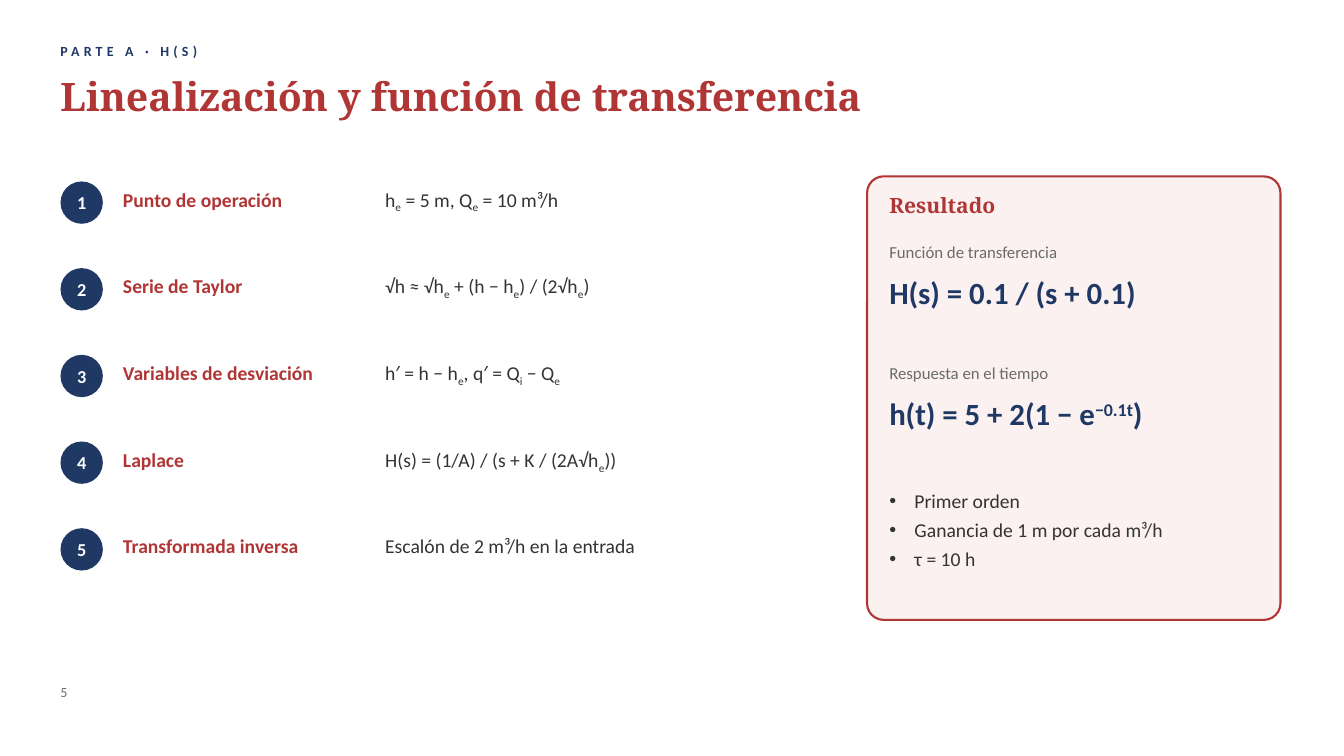
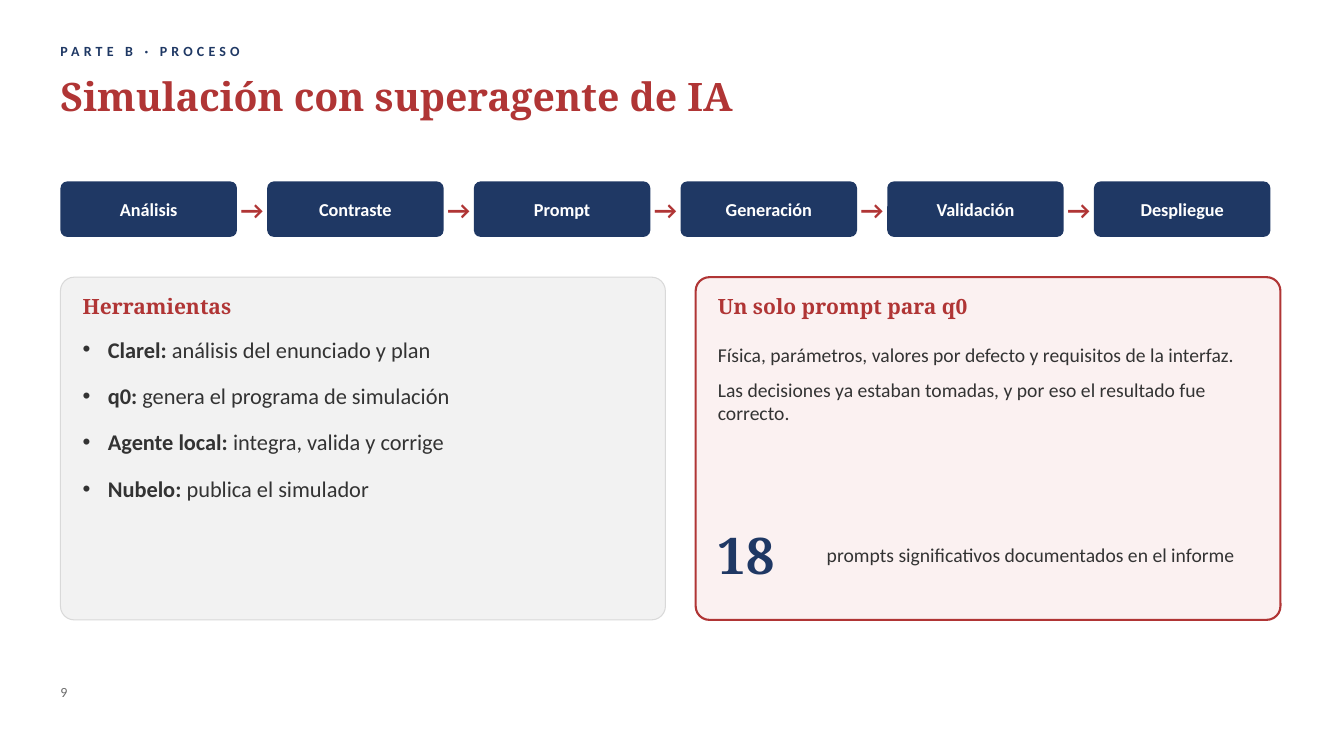
from dataclasses import dataclass, replace
from typing import NamedTuple

from pptx import Presentation
from pptx import util as u
from pptx.dml.color import RGBColor
from pptx.enum import shapes, text
from pptx.oxml.ns import qn
from pptx.oxml.xmlchemy import OxmlElement

PX = 9144
NAVY = RGBColor(0x1F, 0x38, 0x64)
RED = RGBColor(0xB0, 0x35, 0x35)
INK = RGBColor(0x33, 0x33, 0x33)
GRAY = RGBColor(0x6B, 0x6B, 0x6B)
WHITE = RGBColor(0xFF, 0xFF, 0xFF)
ROSE = RGBColor(0xFB, 0xF1, 0xF1)
PALE = RGBColor(0xF2, 0xF2, 0xF2)
EDGE = RGBColor(0xD9, 0xD9, 0xD9)
SANS, SERIF = "Calibri", "Noto Serif"
LEFT, MID = text.PP_ALIGN.LEFT, text.PP_ALIGN.CENTER
TOP, HALF = text.MSO_ANCHOR.TOP, text.MSO_ANCHOR.MIDDLE
OVAL = shapes.MSO_SHAPE.OVAL
ROUND = shapes.MSO_SHAPE.ROUNDED_RECTANGLE
EDGE_X = 60
PAD = 22


class Box(NamedTuple):
    x: int
    y: int
    w: int
    h: int

    def emu(self) -> tuple[int, ...]:
        return tuple(side * PX for side in self)


@dataclass(frozen=True)
class Look:
    size: int
    color: RGBColor
    bold: bool = False
    font: str = SANS
    after: int = 6
    align: text.PP_ALIGN = LEFT
    anchor: text.MSO_ANCHOR = TOP
    shift: int = 0
    space: int = 0
    dot: bool = False


@dataclass(frozen=True)
class Skin:
    fill: RGBColor
    line: RGBColor | None = None
    width: float = 0
    round: float = 0


class Step(NamedTuple):
    name: str
    rule: str


class Result(NamedTuple):
    y: int
    name: str
    rule: str


KICKER = Look(10, NAVY, True, space=300)
TITLE = Look(28, RED, True, SERIF)
FOOT = Look(10, GRAY)
HEAD = Look(15, RED, True, SERIF)
LABEL = Look(14, RED, True)
PLAIN = Look(14, INK)
RULE = replace(PLAIN, shift=-25)
NOTE = Look(12, GRAY)
LARGE = Look(22, NAVY, True, shift=30)
BADGE = Look(13, WHITE, True, after=0, align=MID, anchor=HALF)
ARROW = Look(18, RED, True, align=MID, anchor=HALF)
COUNT = Look(36, NAVY, True, SERIF, anchor=HALF)

SOLID = Skin(NAVY)
STAGE = Skin(NAVY, round=0.12)
WARM = Skin(ROSE, RED, 1.5, 0.04)
COOL = Skin(PALE, EDGE, 0.75, 0.04)

STEPS = [
    Step("Punto de operación", "h|e| = 5 m, Q|e| = 10 m³/h"),
    Step("Serie de Taylor", "√h ≈ √h|e| + (h − h|e|) / (2√h|e|)"),
    Step("Variables de desviación", "h′ = h − h|e|, q′ = Q|i| − Q|e|"),
    Step("Laplace", "H(s) = (1/A) / (s + K / (2A√h|e|))"),
    Step("Transformada inversa", "Escalón de 2 m³/h en la entrada"),
]
RESULTS = [
    Result(240, "Función de transferencia", "H(s) = 0.1 / (s + 0.1)"),
    Result(360, "Respuesta en el tiempo", "h(t) = 5 + 2(1 − e|−0.1t|)"),
]
FACTS = ["Primer orden", "Ganancia de 1 m por cada m³/h", "τ = 10 h"]
STAGES = ["Análisis", "Contraste", "Prompt", "Generación", "Validación", "Despliegue"]
TOOLS = [
    "|Clarel:| análisis del enunciado y plan",
    "|q0:| genera el programa de simulación",
    "|Agente local:| integra, valida y corrige",
    "|Nubelo:| publica el simulador",
]
REASONS = [
    "Física, parámetros, valores por defecto y requisitos de la interfaz.",
    "Las decisiones ya estaban tomadas, y por eso el resultado fue correcto.",
]


def add_dot(para) -> None:
    props = para._p.get_or_add_pPr()
    props.set("marL", str(25 * PX))
    props.set("indent", str(-25 * PX))
    dot = OxmlElement("a:buChar")
    dot.set("char", "•")
    props.append(dot)


def fill_para(para, line: str, look: Look) -> None:
    if look.dot:
        add_dot(para)
    para.alignment = look.align
    para.space_before = u.Pt(0)
    para.space_after = u.Pt(look.after)
    font = para.font
    font.name, font.size, font.bold = look.font, u.Pt(look.size), look.bold
    font.color.rgb = look.color
    if look.space:
        para._p.pPr.find(qn("a:defRPr")).set("spc", str(look.space))
    for spot, part in enumerate(line.split("|")):
        if not part:
            continue
        run = para.add_run()
        run.text = part
        if spot % 2 and look.shift:
            run._r.get_or_add_rPr().set("baseline", str(look.shift * 1000))
        elif spot % 2:
            run.font.bold = True


def write(shape, lines: list[str], look: Look, side: int = 0) -> None:
    frame = shape.text_frame
    frame.word_wrap = True
    frame.auto_size = text.MSO_AUTO_SIZE.NONE
    frame.vertical_anchor = look.anchor
    frame.margin_left = frame.margin_right = side * PX
    frame.margin_top = frame.margin_bottom = 0
    for spot, line in enumerate(lines):
        para = frame.add_paragraph() if spot else frame.paragraphs[0]
        fill_para(para, line, look)


def add_text(slide, box: Box, look: Look, *lines: str) -> None:
    write(slide.shapes.add_textbox(*box.emu()), list(lines), look)


def add_form(slide, kind: shapes.MSO_SHAPE, box: Box, skin: Skin):
    form = slide.shapes.add_shape(kind, *box.emu())
    form.shadow.inherit = False
    form.fill.solid()
    form.fill.fore_color.rgb = skin.fill
    if skin.line is None:
        form.line.fill.background()
    else:
        form.line.color.rgb = skin.line
        form.line.width = u.Pt(skin.width)
    if skin.round:
        form.adjustments[0] = skin.round
    return form


def place(holder, box: Box) -> None:
    holder.left, holder.top, holder.width, holder.height = box.emu()


def add_list(slide, box: Box, look: Look, lines: list[str]) -> None:
    body = slide.placeholders[1]
    place(body, box)
    write(body, lines, look)
    slide.shapes._spTree.append(body._element)


def add_card(slide, box: Box, skin: Skin, head: str) -> None:
    add_form(slide, ROUND, box, skin)
    add_text(slide, Box(box.x + PAD, box.y + 16, box.w - 2 * PAD, 34), HEAD, head)


def add_page(deck, part: str, title: str, page: int):
    slide = deck.slides.add_slide(deck.slide_layouts[1])
    place(slide.shapes.title, Box(EDGE_X, 72, 1160, 70))
    write(slide.shapes.title, [title], TITLE)
    add_text(slide, Box(EDGE_X, 42, 1050, 25), KICKER, part)
    add_text(slide, Box(EDGE_X, 678, 100, 25), FOOT, str(page))
    return slide


def draw_transfer(deck) -> None:
    slide = add_page(deck, "PARTE A · H(S)", "Linealización y función de transferencia", 5)
    for spot, step in enumerate(STEPS):
        y = 180 + 86 * spot
        disc = add_form(slide, OVAL, Box(EDGE_X, y, 42, 42), SOLID)
        write(disc, [str(spot + 1)], BADGE)
        add_text(slide, Box(122, y + 6, 260, 40), LABEL, step.name)
        add_text(slide, Box(382, y + 6, 438, 60), RULE, step.rule)
    card = Box(860, 175, 410, 440)
    add_card(slide, card, WARM, "Resultado")
    x, w = card.x + PAD, card.w - 2 * PAD
    for item in RESULTS:
        add_text(slide, Box(x, item.y, w, 30), NOTE, item.name)
        add_text(slide, Box(x, item.y + 32, w, 55), LARGE, item.rule)
    add_list(slide, Box(x, 485, w, 110), replace(PLAIN, after=4, dot=True), FACTS)


def draw_process(deck) -> None:
    slide = add_page(deck, "PARTE B · PROCESO", "Simulación con superagente de IA", 9)
    wide, gap = 175, 30
    for spot, name in enumerate(STAGES):
        x = EDGE_X + spot * (wide + gap)
        if spot:
            add_text(slide, Box(x - gap, 180, gap, 55), ARROW, "→")
        write(add_form(slide, ROUND, Box(x, 180, wide, 55), STAGE), [name], BADGE, 6)
    tools = Box(EDGE_X, 275, 600, 340)
    add_card(slide, tools, COOL, "Herramientas")
    bullets = Look(16, INK, after=14, dot=True)
    add_list(slide, Box(tools.x + PAD, 333, tools.w - 2 * PAD, 270), bullets, TOOLS)
    card = Box(690, 275, 580, 340)
    add_card(slide, card, WARM, "Un solo prompt para q0")
    x, w = card.x + PAD, card.w - 2 * PAD
    add_text(slide, Box(x, 340, w, 150), replace(PLAIN, after=8), *REASONS)
    add_text(slide, Box(x, 510, 108, 80), COUNT, "18")
    add_text(slide, Box(x + 108, 510, 420, 80), replace(PLAIN, anchor=HALF),
             "prompts significativos documentados en el informe")


def main() -> None:
    deck = Presentation()
    deck.slide_width, deck.slide_height = 1333 * PX, 750 * PX
    draw_transfer(deck)
    draw_process(deck)
    deck.save("out.pptx")


if __name__ == "__main__":
    main()
